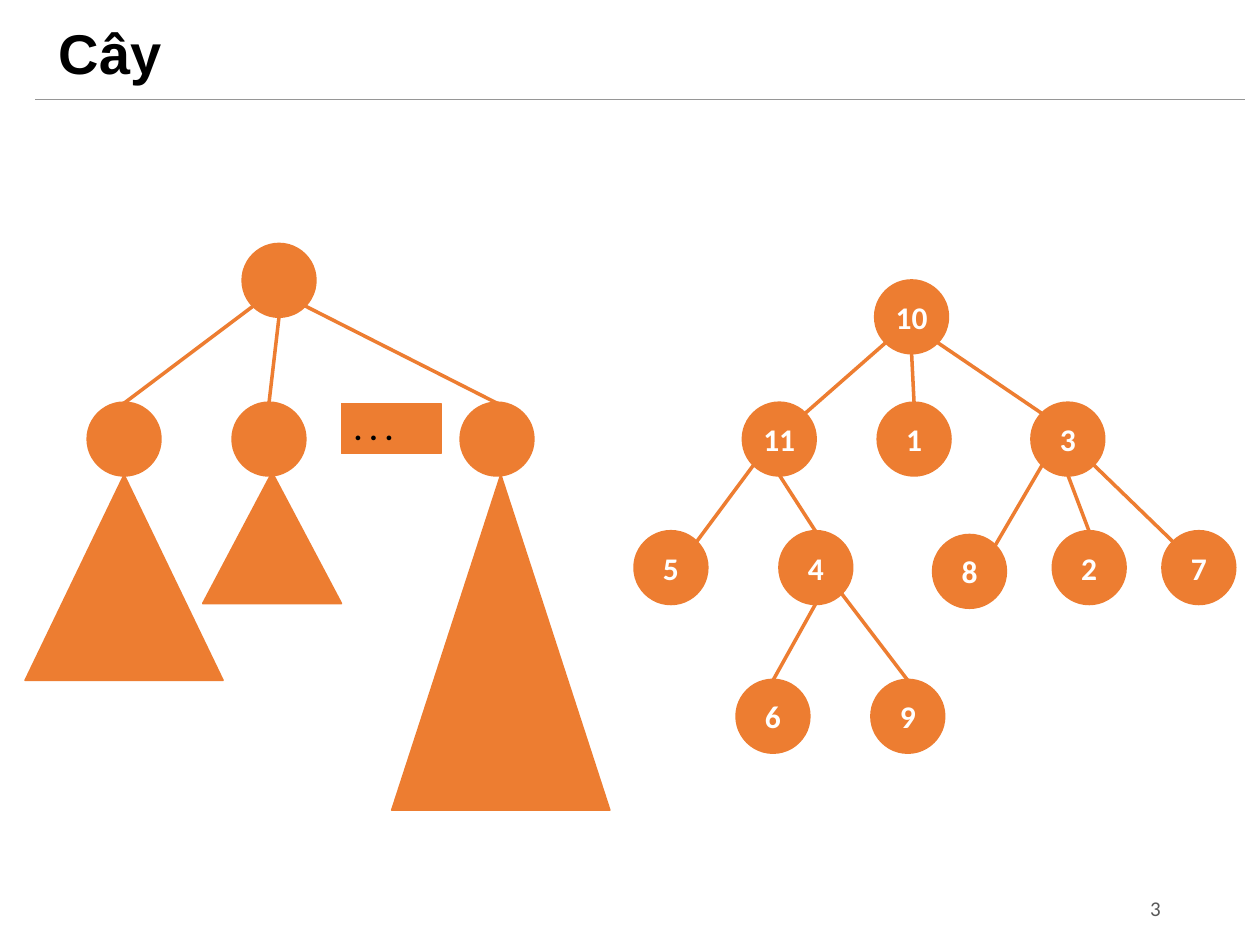
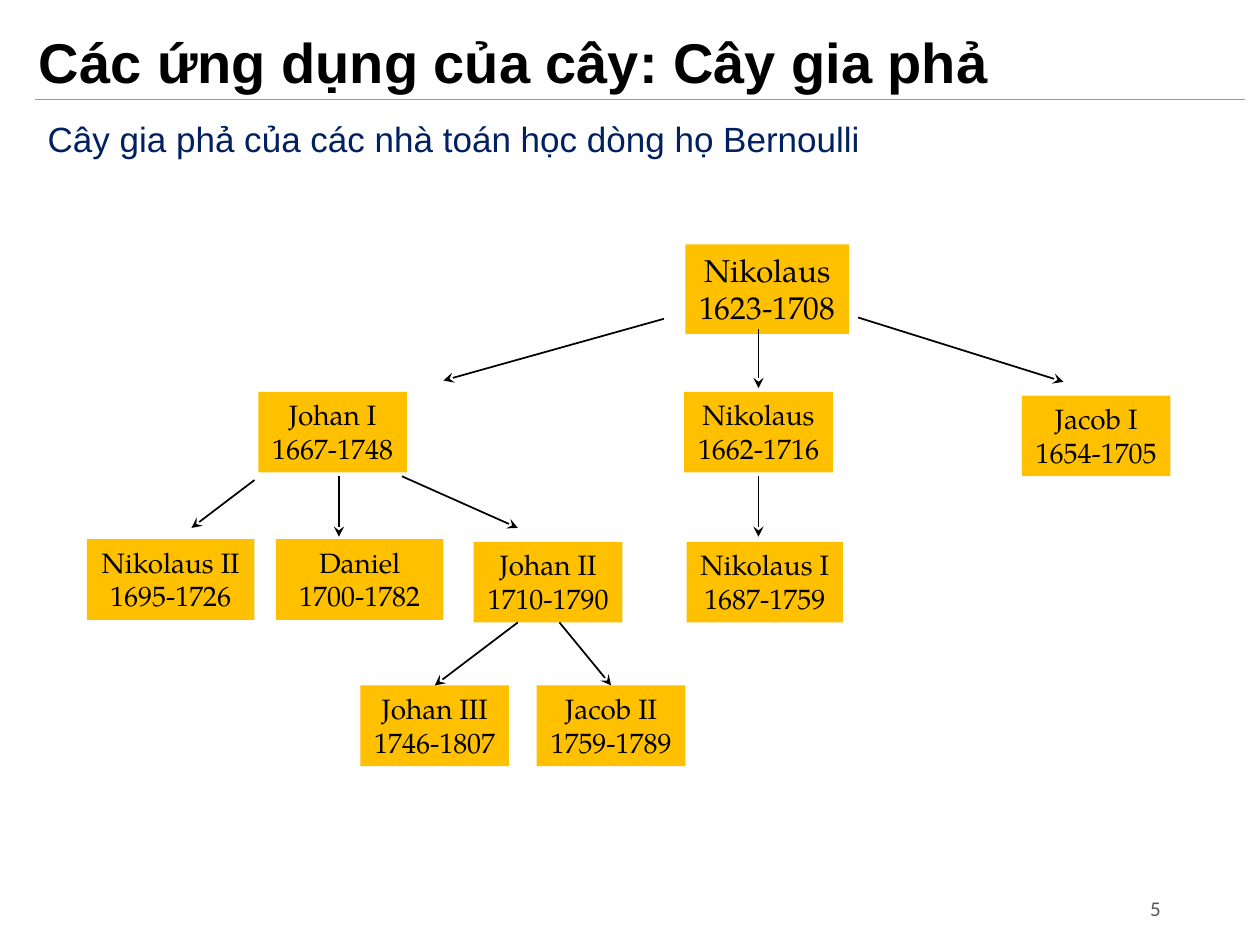
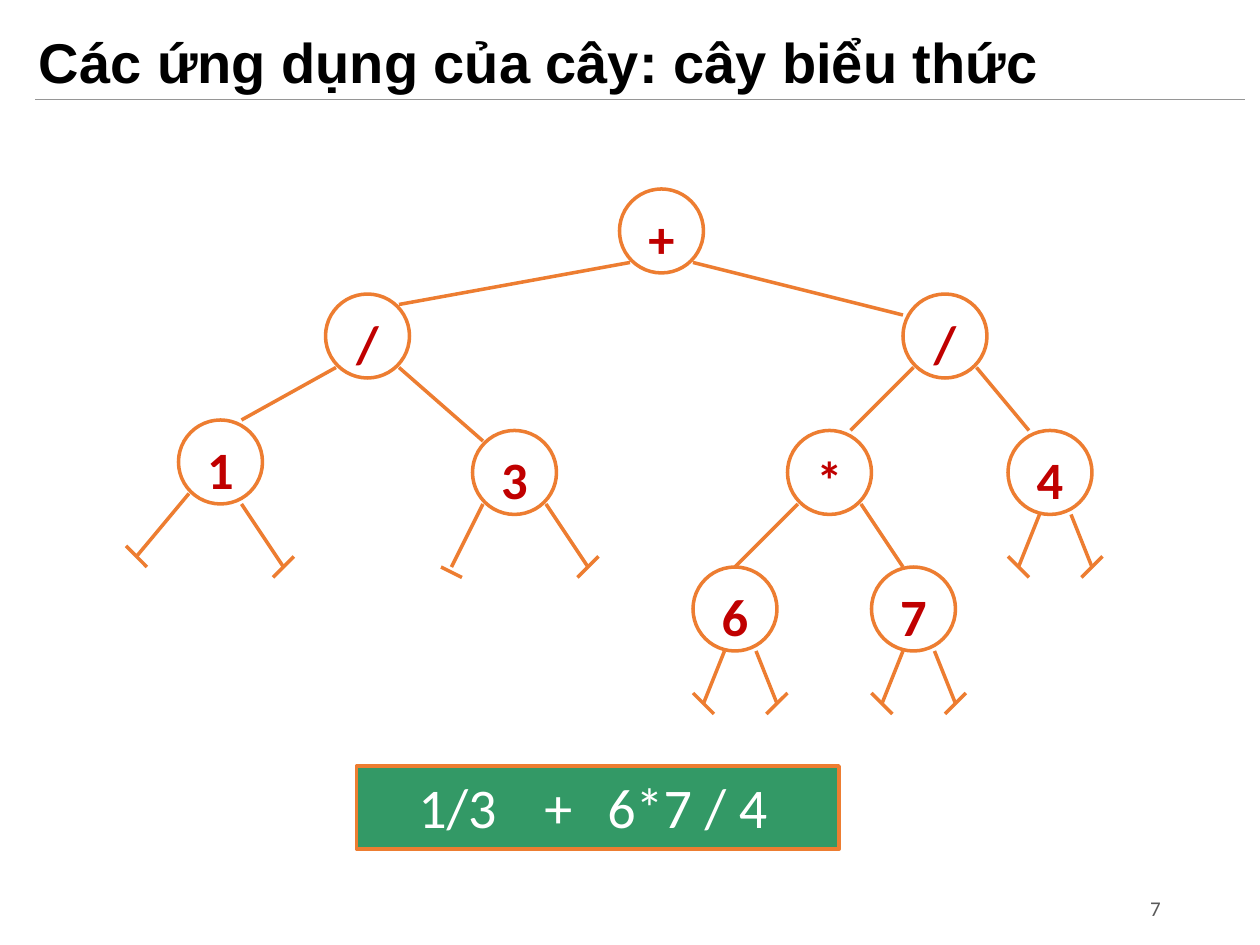
from dataclasses import dataclass

from lxml import etree
from pptx import Presentation
from pptx import util as u
from pptx.dml.color import RGBColor
from pptx.enum import shapes, text
from pptx.oxml.ns import qn

ORANGE = RGBColor(0xED, 0x7D, 0x31)
GOLD = RGBColor(0xFF, 0xC0, 0x00)
GREEN = RGBColor(0x33, 0x99, 0x66)
RED = RGBColor(0xC0, 0x00, 0x00)
NAVY = RGBColor(0x00, 0x20, 0x60)
BLACK = RGBColor(0x00, 0x00, 0x00)
WHITE = RGBColor(0xFF, 0xFF, 0xFF)
GREY = RGBColor(0x59, 0x59, 0x59)
RULE_GREY = RGBColor(0x96, 0x96, 0x96)

HEADING_FONT, NODE_FONT, FAMILY_FONT = "Arial", "Calibri", "TeX Gyre Pagella"
LEFT, CENTER, RIGHT = text.PP_ALIGN.LEFT, text.PP_ALIGN.CENTER, text.PP_ALIGN.RIGHT
TOP, MIDDLE = text.MSO_ANCHOR.TOP, text.MSO_ANCHOR.MIDDLE
PRESET = shapes.MSO_SHAPE

# Points on a circle, as shares of its width and height
CIRCLE_POINTS = {
    "top": (0.5, 0), "bottom": (0.5, 1),
    "top left": (0.15, 0.15), "top right": (0.85, 0.15),
    "bottom left": (0.15, 0.85), "bottom right": (0.85, 0.85),
}


@dataclass
class Grid:
    """A box in inches, divided into columns and rows."""
    left: float
    top: float
    width: float
    height: float
    columns: int
    rows: int

    def point(self, column, row):
        return (u.Inches(self.left + column * self.width / self.columns),
                u.Inches(self.top + row * self.height / self.rows))

    def box(self, column, row, columns, rows):
        return (*self.point(column, row),
                u.Inches(columns * self.width / self.columns),
                u.Inches(rows * self.height / self.rows))


PAGE = Grid(0, 0, 10, 7.5, 100, 75)


def write(shape, lines, font, size, color, bold=False, align=LEFT, anchor=TOP,
          margins=(0.1, 0.05)):
    frame = shape.text_frame
    frame.word_wrap = True
    frame.vertical_anchor = anchor
    frame.margin_left = frame.margin_right = u.Inches(margins[0])
    frame.margin_top = frame.margin_bottom = u.Inches(margins[1])
    frame.text = lines
    for paragraph in frame.paragraphs:
        paragraph.alignment = align
        paragraph.font.name = font
        paragraph.font.size = u.Pt(size)
        paragraph.font.bold = bold
        paragraph.font.color.rgb = color
    return frame


def add_text(slide, box, lines, *style, **options):
    return write(slide.shapes.add_textbox(*box), lines, *style, **options)


def add_shape(slide, preset, box, fill=None, line=None, width=2):
    shape = slide.shapes.add_shape(preset, *box)
    shape.shadow.inherit = False
    if fill is None:
        shape.fill.background()
    else:
        shape.fill.solid()
        shape.fill.fore_color.rgb = fill
    if line is None:
        shape.line.fill.background()
    else:
        shape.line.color.rgb = line
        shape.line.width = u.Pt(width)
    return shape


def add_line(slide, start, end, color=ORANGE, width=2, arrow=False):
    line = slide.shapes.add_connector(shapes.MSO_CONNECTOR.STRAIGHT, *start, *end)
    line.line.color.rgb = color
    line.line.width = u.Pt(width)
    properties = line._element.spPr
    if arrow:
        etree.SubElement(properties.find(qn("a:ln")), qn("a:tailEnd"), type="stealth")
    etree.SubElement(properties, qn("a:effectLst"))
    return line


def add_page(presentation, title, number, title_box=(2.1, 1.3, 97.9, 7.8)):
    """Add a blank slide with title, rule and page number."""
    slide = presentation.slides.add_slide(presentation.slide_layouts[6])
    frame = add_text(slide, PAGE.box(*title_box), title, HEADING_FONT, 32, BLACK,
                     bold=True, anchor=MIDDLE)
    frame.paragraphs[0].line_spacing = 0.9
    add_line(slide, PAGE.point(2.8, 7.9), PAGE.point(98.8, 7.9), RULE_GREY, 0.75)
    add_text(slide, PAGE.box(80.6, 70.1, 12.5, 4), str(number), NODE_FONT, 12, GREY,
             align=RIGHT, anchor=MIDDLE)
    return slide


def add_bullet(slide, box, line):
    frame = slide.shapes.add_textbox(*box).text_frame
    properties = frame.paragraphs[0]._p.get_or_add_pPr()
    properties.set("marL", str(u.Inches(0.25)))
    properties.set("indent", str(-u.Inches(0.25)))
    etree.SubElement(properties, qn("a:buFont"), typeface="Arial")
    etree.SubElement(properties, qn("a:buChar"), char="•")
    write(frame._parent, line, HEADING_FONT, 20, NAVY)
    frame.paragraphs[0].line_spacing = 0.9


def add_node(slide, grid, column, row, label=""):
    node = add_shape(slide, PRESET.FLOWCHART_CONNECTOR, grid.box(column, row, 5.7, 5.7),
                     ORANGE, ORANGE)
    if label:
        write(node, label, NODE_FONT, 18, WHITE, bold=True, align=CENTER,
              anchor=MIDDLE, margins=(0, 0))
    return node


def circle_point(node, name):
    across, down = CIRCLE_POINTS[name]
    return (u.Emu(int(node.left + across * node.width)),
            u.Emu(int(node.top + down * node.height)))


def join_nodes(slide, parent, side, child, child_side="top"):
    add_line(slide, circle_point(parent, side), circle_point(child, child_side))


def draw_general_tree(slide, grid):
    """Draw a root with any number of subtrees."""
    root = add_node(slide, grid, 17.3, 0.4)
    for subtree in ((0, 18.7, 15.7, 16.3), (14.1, 18.5, 11, 10.4),
                    (29.1, 18.7, 17.3, 26.6)):
        add_shape(slide, PRESET.ISOSCELES_TRIANGLE, grid.box(*subtree),
                  ORANGE, ORANGE, 1)
    for column, side in ((5, "bottom left"), (16.5, "bottom"), (34.6, "bottom right")):
        join_nodes(slide, root, side, add_node(slide, grid, column, 13))
    dots = add_shape(slide, PRESET.RECTANGLE, grid.box(25.1, 13, 7.9, 4),
                     ORANGE, ORANGE, 0.75)
    write(dots, ". . .", NODE_FONT, 18, BLACK, bold=True)


def draw_number_tree(slide, grid):
    places = {
        "10": (19.5, 0.3),
        "11": (9, 10), "1": (19.7, 10), "3": (31.9, 10),
        "5": (0.4, 20.2), "4": (11.9, 20.2), "8": (24.1, 20.5),
        "2": (33.6, 20.2), "7": (42.3, 20.2),
        "6": (8.5, 32), "9": (19.2, 32),
    }
    edges = (
        ("10", "bottom left", "11", "top right"),
        ("10", "bottom", "1", "top"),
        ("10", "bottom right", "3", "top left"),
        ("11", "bottom left", "5", "top right"),
        ("11", "bottom", "4", "top"),
        ("3", "bottom left", "8", "top right"),
        ("3", "bottom", "2", "top"),
        ("3", "bottom right", "7", "top left"),
        ("4", "bottom", "6", "top"),
        ("4", "bottom right", "9", "top"),
    )
    nodes = {label: add_node(slide, grid, *place, label)
             for label, place in places.items()}
    for parent, side, child, child_side in edges:
        join_nodes(slide, nodes[parent], side, nodes[child], child_side)


def draw_family_tree(slide, grid):
    people = (
        ("Johan I", "1667-1748", 14.5, 12.1, 11.8),
        ("Nikolaus", "1662-1716", 48.3, 12.1, 11.8),
        ("Jacob I", "1654-1705", 75.1, 12.4, 11.8),
        ("Nikolaus II", "1695-1726", 0.9, 23.8, 13.3),
        ("Daniel", "1700-1782", 15.9, 23.8, 13.3),
        ("Johan II", "1710-1790", 31.6, 24, 11.8),
        ("Nikolaus I", "1687-1759", 48.5, 24, 12.4),
        ("Johan III", "1746-1807", 22.6, 35.4, 11.8),
        ("Jacob II", "1759-1789", 36.6, 35.4, 11.8),
    )
    arrows = (
        (54.2, 7.1, 54.2, 11.8), (54.2, 18.8, 54.2, 23.6),
        (46.7, 6.3, 29.2, 11.2), (62.1, 6.2, 78.4, 11.3),
        (14.2, 19.1, 9.2, 22.9), (20.9, 18.8, 20.9, 23.6),
        (25.9, 18.8, 35.1, 22.9),
    )
    joined_arrows = (("Johan III", 35.1, 30.4), ("Jacob II", 38.4, 30.4))

    def add_person(name, years, column, row, columns, rows=6.4, size=16):
        person = add_shape(slide, PRESET.RECTANGLE,
                           grid.box(column, row, columns, rows), GOLD)
        write(person, f"{name}\n{years}", FAMILY_FONT, size, BLACK, align=CENTER)
        return person

    add_person("Nikolaus", "1623-1708", 48.4, 0.4, 13, 7.1, 18)
    boxes = {person[0]: add_person(*person) for person in people}
    for x1, y1, x2, y2 in arrows:
        add_line(slide, grid.point(x1, y1), grid.point(x2, y2), BLACK, 1, arrow=True)
    for name, column, row in joined_arrows:
        start = grid.point(column, row)
        add_line(slide, start, start, BLACK, 1, arrow=True).end_connect(boxes[name], 0)


def draw_expression_tree(slide, grid):
    nodes = (("+", 59, 18), ("/", 31, 28), ("/", 86, 28),
             ("1", 17, 40), ("3", 45, 41), ("*", 75, 41), ("4", 96, 41),
             ("6", 66, 54), ("7", 83, 54))
    edges = ((60, 25, 38, 29), (66, 25, 86, 30),
             (32, 35, 23, 40), (38, 35, 46, 42),
             (87, 35, 81, 41), (93, 35, 98, 41),
             (76, 48, 70, 54), (82, 48, 86, 54))
    falling, shallow, rising = (-1, 1), (0, 1), (1, -1)
    stubs = ((18, 47, 13, 53, falling), (23, 48, 27, 54, rising),
             (46, 48, 43, 54, shallow), (52, 48, 56, 54, rising),
             (99, 49, 97, 54, falling), (102, 49, 104, 54, rising),
             (69, 62, 67, 67, falling), (72, 62, 74, 67, rising),
             (86, 62, 84, 67, falling), (89, 62, 91, 67, rising))

    def add_edge(x1, y1, x2, y2):
        add_line(slide, grid.point(x1, y1), grid.point(x2, y2))

    for label, column, row in nodes:
        add_text(slide, grid.box(column, row + 1, 8, 7.3), label, NODE_FONT, 30, RED,
                 bold=True, align=CENTER)
        add_shape(slide, PRESET.OVAL, grid.box(column, row, 8, 8), line=ORANGE)
    for edge in edges:
        add_edge(*edge)
    for x1, y1, x2, y2, (left_drop, right_drop) in stubs:
        add_edge(x1, y1, x2, y2)
        add_edge(x2 - 1, y2 + left_drop, x2 + 1, y2 + right_drop)


def draw_formula(slide, box):
    formula = add_shape(slide, PRESET.RECTANGLE, box, GREEN, ORANGE)
    properties = formula.text_frame.paragraphs[0]._p.get_or_add_pPr()
    stops = etree.SubElement(properties, qn("a:tabLst"))
    for position in (0.9, 1.53):
        etree.SubElement(stops, qn("a:tab"), pos=str(u.Inches(position)), algn="l")
    frame = write(formula, "1/3\t+\t6*7 / 4", NODE_FONT, 32, WHITE)
    frame.margin_left = u.Inches(0.49)


def main():
    presentation = Presentation()
    presentation.slide_width = u.Inches(PAGE.width)
    presentation.slide_height = u.Inches(PAGE.height)

    slide = add_page(presentation, "Cây", 3, (3.7, 1.3, 91.3, 6.3))
    draw_general_tree(slide, Grid(0.2, 1.9, 4.8, 4.6, 48, 46))
    draw_number_tree(slide, Grid(5, 2.2, 4.8, 3.8, 48, 38))

    slide = add_page(presentation, "Các ứng dụng của cây: Cây gia phả", 5)
    add_bullet(slide, PAGE.box(2.8, 9.2, 97, 12.5),
               "Cây gia phả của các nhà toán học dòng họ Bernoulli")
    draw_family_tree(slide, Grid(0.6, 1.9, 8.8, 4.2, 88, 42))

    slide = add_page(presentation, "Các ứng dụng của cây: cây biểu thức", 7)
    draw_expression_tree(slide, Grid(0, 0, 10, 7.5, 120, 90))
    draw_formula(slide, PAGE.box(28.3, 60.8, 38.3, 6.6))

    presentation.save("out.pptx")


if __name__ == "__main__":
    main()
